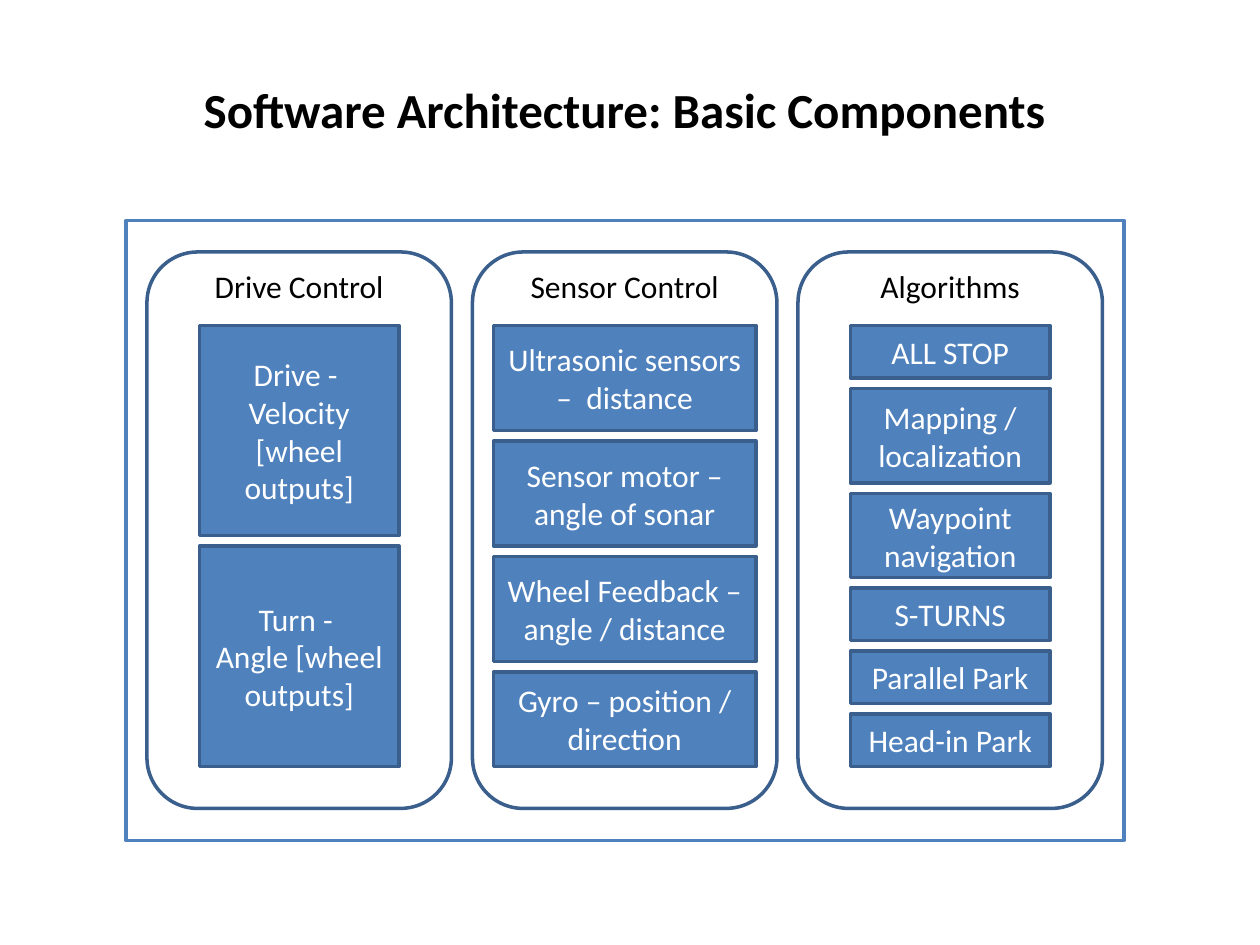
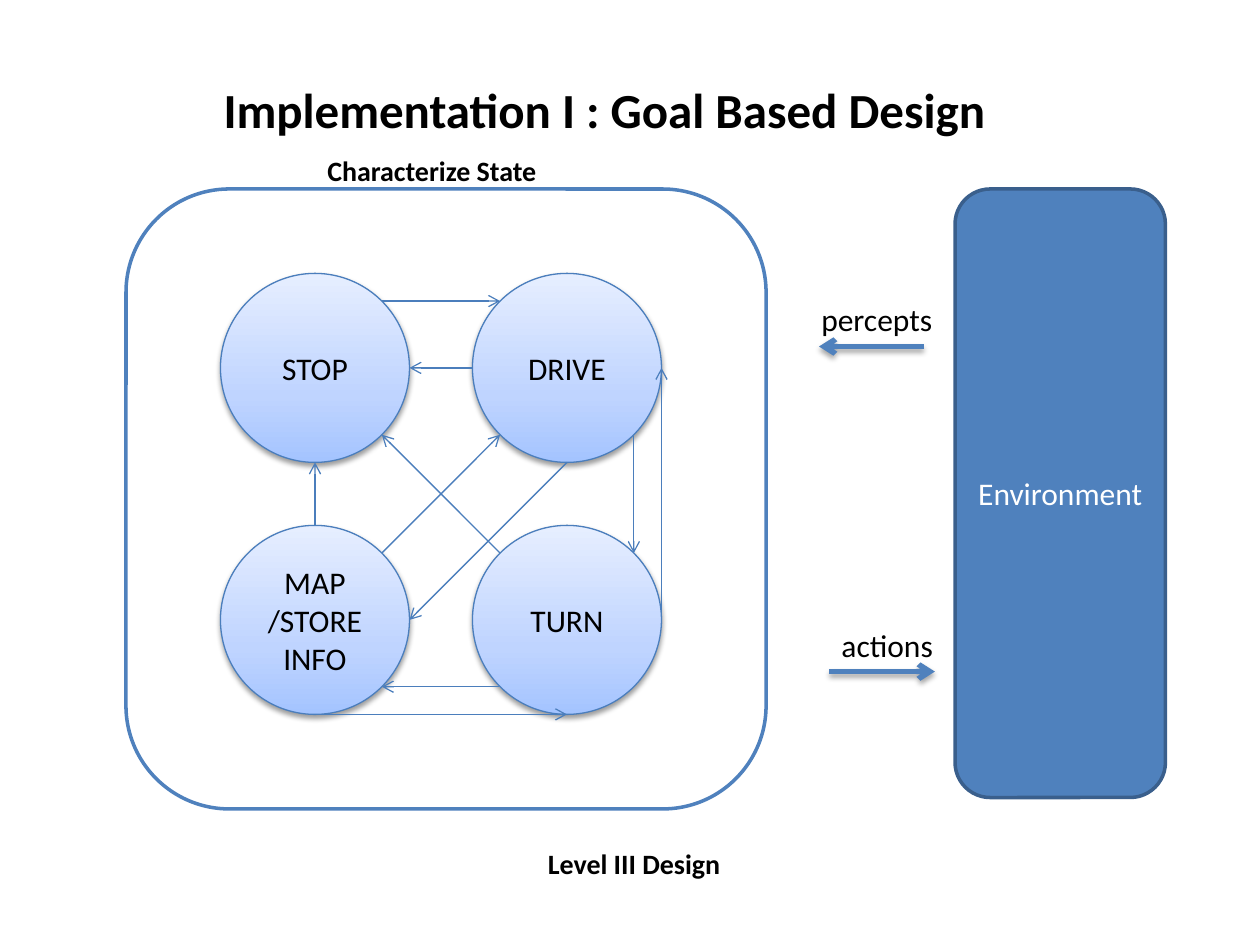
from math import cos, radians, sin

from lxml.etree import SubElement
from pptx import Presentation
from pptx.dml.color import RGBColor
from pptx.enum.shapes import MSO_CONNECTOR, MSO_SHAPE as SHAPE
from pptx.enum.text import MSO_ANCHOR as ANCHOR, PP_ALIGN as ALIGN
from pptx.oxml.ns import qn
from pptx.util import Inches, Pt

COLORS = {
    "white": "FFFFFF", "black": "000000",
    "blue": "4F81BD", "edge": "3A5F8C", "thin": "4B7EBC",
}
STATE_GRADIENT = [(0, "A4C4FF"), (35, "BFD4FF"), (100, "E6EEFF")]
FONT = "Calibri"
CELL = 1 / 12  # layout grid of the component diagram, in inches

COMPONENTS = [
    ("Drive Control", 19, [("Drive - \nVelocity [wheel outputs]", 20),
                           ("Turn - \nAngle [wheel outputs]", 21)]),
    ("Sensor Control", 25, [("Ultrasonic sensors –  distance", 10),
                            ("Sensor motor – angle of sonar", 10),
                            ("Wheel Feedback – angle / distance", 10),
                            ("Gyro – position / direction", 9)]),
    ("Algorithms", 19, [("ALL STOP", 5), ("Mapping / localization", 9),
                        ("Waypoint navigation", 8), ("S-TURNS", 5),
                        ("Parallel Park", 5), ("Head-in Park", 5)]),
]

RADIUS = 0.75
STATES = {
    "STOP": (2.5, 2.92), "DRIVE": (4.5, 2.92),
    "MAP /STORE INFO": (2.5, 4.92), "TURN": (4.5, 4.92),
}
# Each end is a state and the clockwise angle from its right-hand side.
TRANSITIONS = [
    ("DRIVE", 180, "STOP", 0),
    ("MAP /STORE INFO", 270, "STOP", 90),
    ("TURN", 225, "STOP", 45),
    ("STOP", 315, "DRIVE", 225),
    ("MAP /STORE INFO", 315, "DRIVE", 135),
    ("DRIVE", 90, "MAP /STORE INFO", 0),
    ("DRIVE", 45, "TURN", 315),
    ("TURN", 0, "DRIVE", 0),
    ("TURN", 135, "MAP /STORE INFO", 45),
    ("MAP /STORE INFO", 90, "TURN", 90),
]


def rgb(name):
    return RGBColor.from_string(COLORS[name])


def write(tf, text, size=18, color="black", bold=False, align=ALIGN.CENTER,
          anchor=ANCHOR.MIDDLE):
    """Fill a text frame with one paragraph per line of text."""
    tf.word_wrap = True
    tf.vertical_anchor = anchor
    for i, line in enumerate(text.split("\n")):
        p = tf.add_paragraph() if i else tf.paragraphs[0]
        p.alignment = align
        r = p.add_run()
        r.text = line
        r.font.name, r.font.size, r.font.bold = FONT, Pt(size), bold
        r.font.color.rgb = rgb(color)


def set_effects(sp, alpha=0, dist=0):
    """Replace the theme shadow; an alpha of 0 leaves no shadow at all."""
    effects = SubElement(sp._element.spPr, qn("a:effectLst"))
    if alpha:
        shadow = SubElement(effects, qn("a:outerShdw"), blurRad=str(Pt(3.1)),
                            dist=str(Pt(dist)), dir="5400000", rotWithShape="0")
        color = SubElement(shadow, qn("a:srgbClr"), val=COLORS["black"])
        SubElement(color, qn("a:alpha"), val=str(alpha * 1000))


def add_label(slide, text, left, top, width, height, **fmt):
    box = slide.shapes.add_textbox(*map(Inches, (left, top, width, height)))
    write(box.text_frame, text, anchor=ANCHOR.TOP, **fmt)


def add_title(slide, text, left):
    add_label(slide, text, left, 0.58, 8.75, 0.57, size=28, bold=True)


def add_outline(slide, kind, left, top, width, height, fill=None, line="edge",
                weight=2):
    sp = slide.shapes.add_shape(kind, *map(Inches, (left, top, width, height)))
    if fill:
        sp.fill.solid()
        sp.fill.fore_color.rgb = rgb(fill)
    else:
        sp.fill.background()
    sp.line.color.rgb = rgb(line)
    sp.line.width = Pt(weight)
    return sp


def add_box(slide, kind, text, *place):
    sp = add_outline(slide, kind, *place, fill="blue")
    set_effects(sp)
    write(sp.text_frame, text, color="white")


def add_panel(slide, kind, *place, **style):
    sp = add_outline(slide, kind, *place, **style)
    set_effects(sp)
    return sp


def add_state(slide, name, x, y):
    sp = add_outline(slide, SHAPE.OVAL, x - RADIUS, y - RADIUS,
                     2 * RADIUS, 2 * RADIUS, line="thin", weight=0.75)
    sp.fill.gradient()
    sp.fill.gradient_angle = 90
    stops = sp._element.spPr.find(".//" + qn("a:gsLst"))
    for stop in list(stops):
        stops.remove(stop)
    for pos, color in STATE_GRADIENT:
        stop = SubElement(stops, qn("a:gs"), pos=str(pos * 1000))
        SubElement(stop, qn("a:srgbClr"), val=color)
    set_effects(sp, alpha=38, dist=1.6)
    write(sp.text_frame, name)


def add_arrow(slide, start, end, color="thin", weight=0.75, **shadow):
    line = slide.shapes.add_connector(MSO_CONNECTOR.STRAIGHT,
                                      *map(Inches, (*start, *end)))
    line.line.color.rgb = rgb(color)
    line.line.width = Pt(weight)
    SubElement(line.line._get_or_add_ln(), qn("a:tailEnd"), type="arrow")
    set_effects(line, **shadow)


def rim_point(state, angle):
    x, y = STATES[state]
    a = radians(angle)
    return x + RADIUS * cos(a), y + RADIUS * sin(a)


def add_component(slide, column, name, box_width, boxes):
    """Draw one panel with its boxes stacked and centred; sizes in cells."""
    panel_left, panel_width = 14 + 31 * column, 29
    panel = add_panel(slide, SHAPE.ROUNDED_RECTANGLE, panel_left * CELL, 2,
                      panel_width * CELL, 53 * CELL)
    panel.text_frame.margin_top = 0
    write(panel.text_frame, name, anchor=ANCHOR.TOP)
    left, top = panel_left + (panel_width - box_width) / 2, 31
    for text, height in boxes:
        add_box(slide, SHAPE.RECTANGLE, text, left * CELL, top * CELL,
                box_width * CELL, height * CELL)
        top += height + 1


def build_architecture(slide):
    add_title(slide, "Software Architecture: Basic Components", 0.58)
    add_panel(slide, SHAPE.RECTANGLE, 1, 1.75, 7.92, 4.92,
              fill="white", line="blue")
    for column, component in enumerate(COMPONENTS):
        add_component(slide, column, *component)


def build_goal_design(slide):
    add_title(slide, "Implementation I : Goal Based Design", 0.42)
    add_box(slide, SHAPE.ROUNDED_RECTANGLE, "Environment", 7.58, 1.5, 1.67, 4.83)
    add_panel(slide, SHAPE.ROUNDED_RECTANGLE, 1, 1.5, 5.08, 4.92,
              fill="white", line="blue")
    for start, end in [((6.58, 5.33), (7.42, 5.33)), ((7.33, 2.75), (6.5, 2.75))]:
        add_arrow(slide, start, end, color="blue", weight=3, alpha=35, dist=1.8)
    add_label(slide, "percepts", 6.42, 2.33, 1.17, 0.42, align=ALIGN.LEFT)
    add_label(slide, "actions", 6.58, 4.92, 1.08, 0.42, align=ALIGN.LEFT)
    caption = {"size": 16, "bold": True, "align": ALIGN.LEFT}
    add_label(slide, "Level III Design", 4.25, 6.67, 2.08, 0.37, **caption)
    add_label(slide, "Characterize State", 2.5, 1.17, 2.25, 0.37, **caption)
    for name, center in STATES.items():
        add_state(slide, name, *center)
    for source, out_angle, target, in_angle in TRANSITIONS:
        add_arrow(slide, rim_point(source, out_angle), rim_point(target, in_angle))


def main():
    prs = Presentation()
    prs.slide_width, prs.slide_height = Inches(10), Inches(7.5)
    for build in (build_architecture, build_goal_design):
        build(prs.slides.add_slide(prs.slide_layouts[6]))
    prs.save("out.pptx")


if __name__ == "__main__":
    main()
